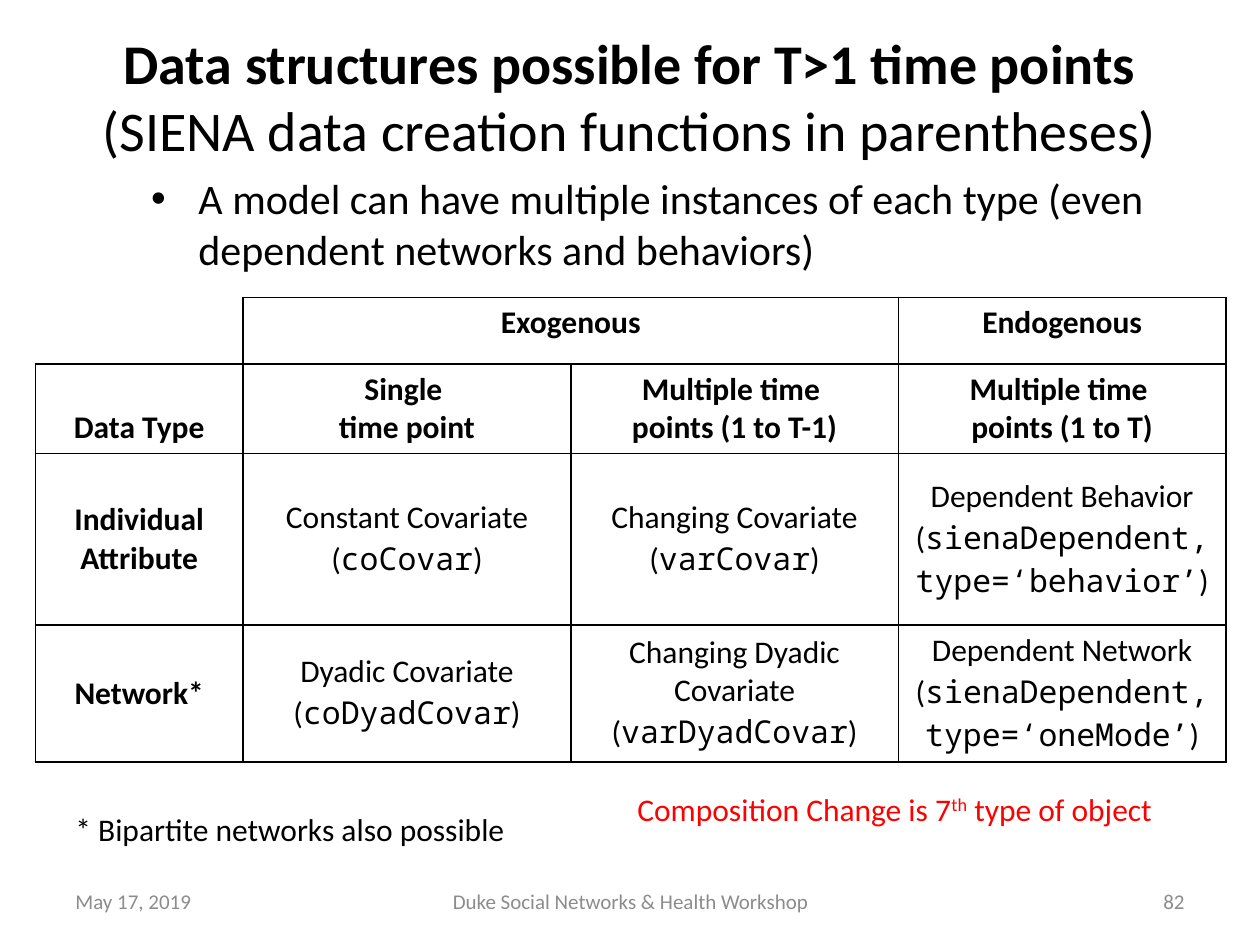
import pptx
import pptx.dml.color
import pptx.enum.text
import pptx.oxml
import pptx.oxml.ns
import pptx.util

COLUMNS, ROWS = 100, 75
UNIT = pptx.util.Inches(0.1)
BLACK = pptx.dml.color.RGBColor(0, 0, 0)
GRAY = pptx.dml.color.RGBColor(0x8C, 0x8C, 0x8C)
RED = pptx.dml.color.RGBColor(0xFF, 0, 0)
BODY_FONT = "Calibri"
CODE_FONT = "Noto Sans Mono"
ALIGN = pptx.enum.text.PP_ALIGN
ANCHOR = pptx.enum.text.MSO_ANCHOR
AUTO_SIZE = pptx.enum.text.MSO_AUTO_SIZE

TITLE = [
    "Data structures possible for T>1 time points",
    "(SIENA data creation functions in parentheses)",
]
POINT = "A model can have multiple instances of each type (even dependent networks and behaviors)"
HEADINGS = [
    ["", "Exogenous", "", "Endogenous"],
    ["Data Type", "Single \ntime point", "Multiple time \npoints (1 to T-1)",
     "Multiple time \npoints (1 to T)"],
]
DATA_TYPES = {
    "Individual Attribute": [
        ("Constant Covariate", "coCovar"),
        ("Changing Covariate", "varCovar"),
        ("Dependent Behavior", "sienaDependent, type=‘behavior’"),
    ],
    "Network*": [
        ("Dyadic Covariate", "coDyadCovar"),
        ("Changing Dyadic Covariate", "varDyadCovar"),
        ("Dependent Network", "sienaDependent, type=‘oneMode’"),
    ],
}
COLUMN_WIDTHS = [16.5, 26, 26, 26]
ROW_HEIGHTS = [5.3, 7.1, 13.6, 10.5]


def grid(*lengths):
    return [round(length * UNIT) for length in lengths]


def style(span, size, color=BLACK, bold=False, name=BODY_FONT):
    span.font.name = name
    span.font.size = pptx.util.Pt(size)
    span.font.bold = bold
    span.font.color.rgb = color


def add_spans(para, texts):
    for text in texts:
        para.add_run().text = text
    return para.runs


def place(shape, box):
    shape.left, shape.top, shape.width, shape.height = grid(*box)
    shape.text_frame.auto_size = AUTO_SIZE.NONE


def add_title(page, box):
    title = page.shapes.title
    place(title, box)
    frame = title.text_frame
    frame.vertical_anchor = ANCHOR.MIDDLE
    frame.text = "\n".join(TITLE)
    for para, bold in zip(frame.paragraphs, (True, False)):
        para.alignment = ALIGN.CENTER
        style(para.runs[0], 32, bold=bold)
    frame.paragraphs[0].line_spacing = 1.1


def add_point(page, box):
    body = page.placeholders[1]
    place(body, box)
    body.text_frame.text = POINT
    para = body.text_frame.paragraphs[0]
    para.space_before = pptx.util.Pt(0)
    style(para.runs[0], 24)


def add_text(page, box, texts, size, color, align=ALIGN.LEFT, anchor=ANCHOR.TOP, wrap=True):
    shape = page.shapes.add_textbox(*grid(*box))
    frame = shape.text_frame
    frame.word_wrap = wrap
    frame.vertical_anchor = anchor
    para = frame.paragraphs[0]
    para.alignment = align
    spans = add_spans(para, texts)
    for span in spans:
        style(span, size, color)
    return spans


def set_borders(cell, hidden):
    properties = cell._tc.get_or_add_tcPr()
    for index, side in enumerate("LRTB"):
        paint = "<a:noFill/>" if side in hidden else (
            f'<a:solidFill><a:srgbClr val="{BLACK}"/></a:solidFill>')
        properties.insert(index, pptx.oxml.parse_xml(
            f'<a:ln{side} {pptx.oxml.ns.nsdecls("a")} w="12700">{paint}</a:ln{side}>'))


def fill_heading(cell, text, anchor):
    cell.text_frame.text = text
    cell.vertical_anchor = anchor
    for para in cell.text_frame.paragraphs:
        para.alignment = ALIGN.CENTER
        for span in para.runs:
            style(span, 18, bold=True)


def fill_structure(cell, label, function):
    cell.vertical_anchor = ANCHOR.MIDDLE
    para = cell.text_frame.paragraphs[0]
    para.alignment = ALIGN.CENTER
    spans = add_spans(para, [f"{label} (", function, ")"])
    for span, name in zip(spans, (BODY_FONT, CODE_FONT, BODY_FONT)):
        style(span, 18, name=name)


def add_structures(page, left, top):
    box = grid(left, top, sum(COLUMN_WIDTHS), sum(ROW_HEIGHTS))
    table = page.shapes.add_table(len(ROW_HEIGHTS), len(COLUMN_WIDTHS), *box).table
    table.first_row = table.horz_banding = False
    for column, width in zip(table.columns, grid(*COLUMN_WIDTHS)):
        column.width = width
    for row, height in zip(table.rows, grid(*ROW_HEIGHTS)):
        row.height = height
    corner = table.cell(0, 0)
    for cell in table.iter_cells():
        cell.fill.background()
        set_borders(cell, "LT" if cell == corner else "")
    table.cell(0, 1).merge(table.cell(0, 2))
    for row, headings in enumerate(HEADINGS):
        for column, text in enumerate(headings):
            if text:
                low = row == 1 and column in (0, 3)
                fill_heading(table.cell(row, column), text, ANCHOR.BOTTOM if low else ANCHOR.TOP)
    for row, (data_type, structures) in enumerate(DATA_TYPES.items(), len(HEADINGS)):
        fill_heading(table.cell(row, 0), data_type, ANCHOR.MIDDLE)
        for column, (label, function) in enumerate(structures, 1):
            fill_structure(table.cell(row, column), label, function)


def add_notes_below(page):
    add_text(page, (5, 63.8, 36.5, 4), ["* Bipartite networks also possible"],
             18, BLACK, wrap=False)
    spans = add_text(page, (49.6, 62.2, 43.5, 4),
                     ["Composition Change is 7", "th", " type of object"],
                     18, RED, wrap=False)
    spans[1]._r.get_or_add_rPr().set("baseline", "30000")


def add_footer(page, top, height):
    parts = [
        (5, 23.3, "May 17, 2019", ALIGN.LEFT),
        (34.2, 31.7, "Duke Social Networks & Health Workshop", ALIGN.CENTER),
        (71.7, 23.3, "82", ALIGN.RIGHT),
    ]
    for left, width, text, align in parts:
        add_text(page, (left, top, width, height), [text], 12, GRAY, align, ANCHOR.MIDDLE)


def main():
    deck = pptx.Presentation()
    deck.slide_width, deck.slide_height = grid(COLUMNS, ROWS)
    page = deck.slides.add_slide(deck.slide_layouts[1])
    add_title(page, (5, 1.3, 90, 12))
    add_point(page, (11, 13.2, 82.2, 9.1))
    add_structures(page, 2.8, 23.6)
    add_notes_below(page)
    add_footer(page, 69.5, 4)
    deck.save("out.pptx")


if __name__ == "__main__":
    main()
